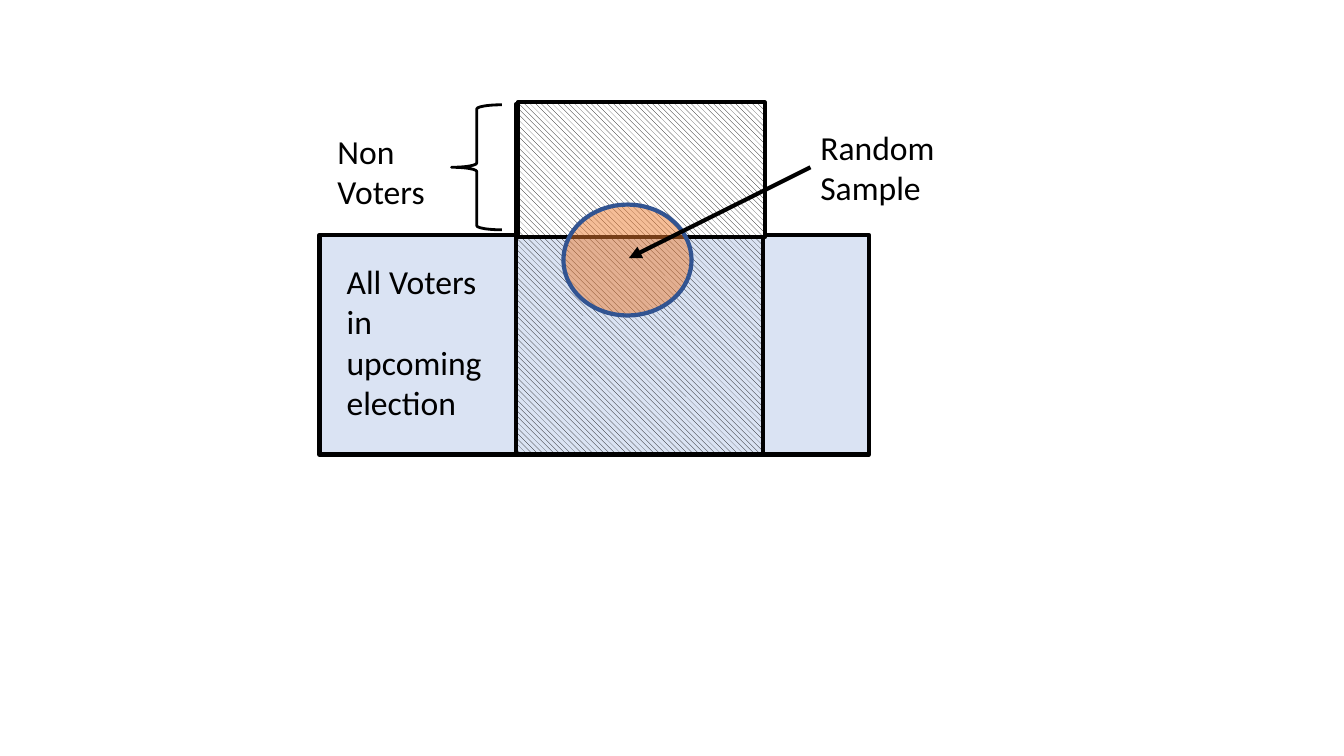
from pptx import Presentation
from pptx.dml.color import RGBColor
from pptx.enum.dml import MSO_PATTERN_TYPE as Pattern
from pptx.enum.shapes import MSO_CONNECTOR_TYPE as Link, MSO_SHAPE as Shape
from pptx.enum.text import MSO_AUTO_SIZE as AutoSize
from pptx.oxml.ns import qn
from pptx.util import Inches, Pt
from lxml.etree import SubElement

COLORS = {"ink": "000000", "paper": "FFFFFF", "voters": "DAE3F3",
          "sample": "ED7D31", "sample_edge": "325491"}
COLUMNS, ROWS = 160, 90


def color(name):
    return RGBColor.from_string(COLORS[name])


class Diagram:
    font, size, stroke = "Calibri", 24, 3

    def __init__(self, deck):
        self.column = deck.slide_width / COLUMNS
        self.row = deck.slide_height / ROWS
        page = deck.slides.add_slide(deck.slide_layouts[6])
        self.shapes = page.shapes.add_group_shape().shapes

    def place(self, column, row):
        return round(column * self.column), round(row * self.row)

    def outline(self, line, edge="ink", width=stroke):
        line.color.rgb = color(edge)
        line.width = Pt(width)

    def shape(self, kind, left, top, wide, high, fill=None, edge="ink", width=stroke):
        box = self.shapes.add_shape(kind, *self.place(left, top), *self.place(wide, high))
        box.shadow.inherit = False
        if fill:
            box.fill.solid()
            box.fill.fore_color.rgb = color(fill)
        else:
            box.fill.background()
        self.outline(box.line, edge, width)
        return box

    def hatched(self, left, top, wide, high, back):
        shift = (high - wide) / 2
        box = self.shape(Shape.RECTANGLE, left - shift, top + shift, high, wide)
        box.rotation = 90
        box.fill.patterned()
        box.fill.pattern = Pattern.WIDE_DOWNWARD_DIAGONAL
        box.fill.fore_color.rgb = color("ink")
        box.fill.back_color.rgb = color(back)

    def translucent(self, kind, left, top, wide, high, fill, edge, percent):
        box = self.shape(kind, left, top, wide, high, fill, edge)
        tint = box.fill._xPr.find(qn("a:solidFill"))[0]
        SubElement(tint, qn("a:alpha"), val=str(percent * 1000))

    def label(self, words, left, top, wide, high):
        box = self.shapes.add_textbox(*self.place(left, top), *self.place(wide, high))
        frame = box.text_frame
        frame.word_wrap = True
        frame.auto_size = AutoSize.SHAPE_TO_FIT_TEXT
        span = frame.paragraphs[0].add_run()
        span.text = words
        span.font.name = self.font
        span.font.size = Pt(self.size)
        span.font.color.rgb = color("ink")

    def arrow(self, start, end):
        link = self.shapes.add_connector(Link.STRAIGHT, *self.place(*start), *self.place(*end))
        self.outline(link.line)
        SubElement(link.line._get_or_add_ln(), qn("a:tailEnd"), type="triangle")
        SubElement(link._element.spPr, qn("a:effectLst"))


deck = Presentation()
deck.slide_width, deck.slide_height = Inches(13.33), Inches(7.5)

diagram = Diagram(deck)
diagram.shape(Shape.RECTANGLE, 38.04, 27.96, 65.4, 26.16, "voters")
diagram.hatched(61.44, 12.42, 29.4, 41.64, "voters")
diagram.hatched(61.62, 12.18, 29.4, 16.08, "paper")
diagram.translucent(Shape.OVAL, 67.08, 24.36, 15.24, 13.2, "sample", "sample_edge", 50)
diagram.label("All Voters in upcoming election", 40.08, 30.48, 19.56, 16.92)
diagram.label("Non Voters", 39, 15, 19.8, 4.92)
diagram.shape(Shape.LEFT_BRACE, 53.76, 12.48, 6, 14.88, width=2)
diagram.label("Random Sample", 96.48, 14.52, 16.32, 10.92)
diagram.arrow((96.48, 19.92), (74.88, 30.72))

deck.save("out.pptx")
